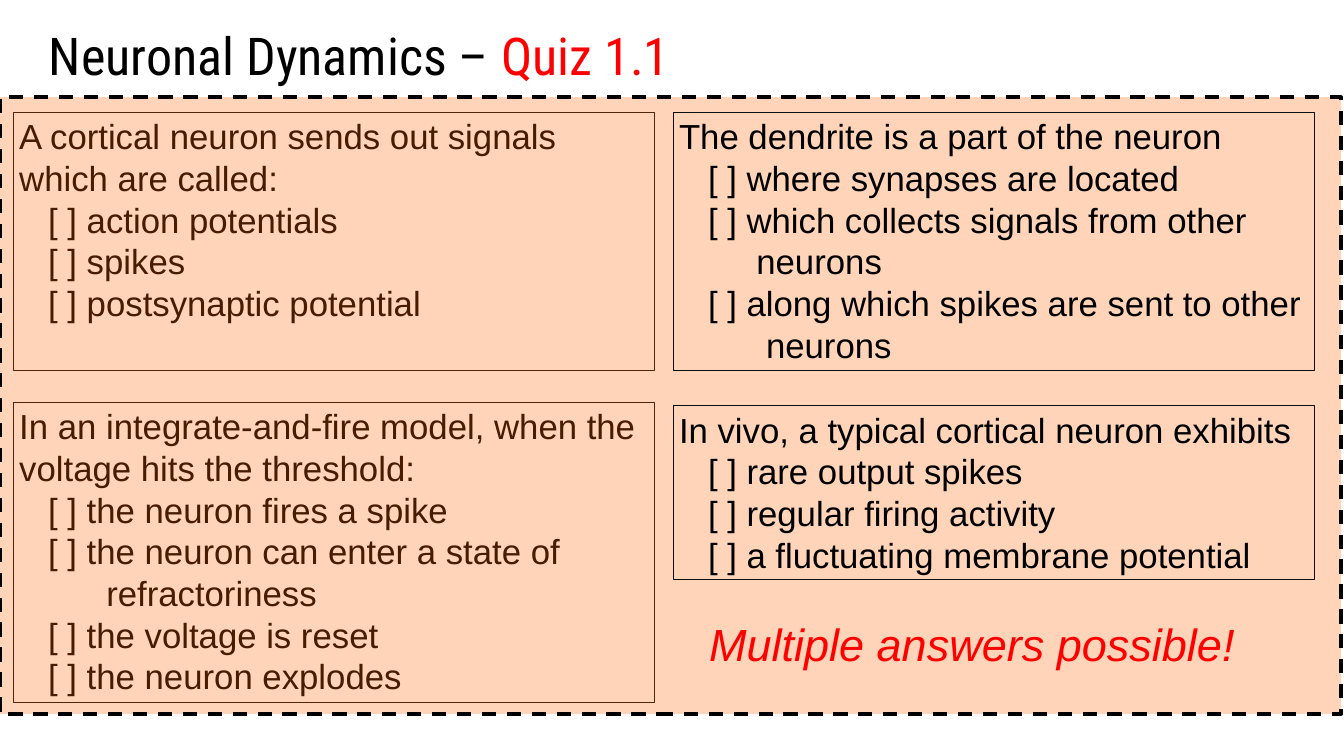
"""Build the Neuronal Dynamics quiz slide with four question boxes."""
from lxml import etree
from pptx import Presentation
from pptx import util as u
from pptx.dml.color import RGBColor
from pptx.enum import dml, shapes, text
from pptx.oxml import ns

BLACK = RGBColor(0x00, 0x00, 0x00)
OUTLINE = RGBColor(0x0D, 0x0D, 0x0D)
RED = RGBColor(0xFF, 0x00, 0x00)
ORANGE = RGBColor(0xFF, 0x66, 0x00)

LEFT_COLUMN, RIGHT_COLUMN, BOX_WIDTH = 0.24, 11.84, 11.26
SPACE_WIDTH = 0.17
LEFT_QUESTIONS = [
    (LEFT_COLUMN, 1.97, 4.54, [
        (0, "A cortical neuron sends out signals which are called:"),
        (3, "[ ] action potentials"),
        (3, "[ ] spikes"),
        (3, "[ ] postsynaptic potential")]),
    (LEFT_COLUMN, 7.07, 5.28, [
        (0, "In an integrate-and-fire model, when the voltage hits the threshold:"),
        (3, "[ ] the neuron fires a spike"),
        (3, "[ ] the neuron can enter a state of"),
        (9, "refractoriness"),
        (3, "[ ] the voltage is reset"),
        (3, "[ ] the neuron explodes")]),
]
RIGHT_QUESTIONS = [
    (RIGHT_COLUMN, 1.97, 4.54, [
        (0, "The dendrite is a part of the neuron"),
        (3, "[ ] where synapses are located"),
        (3, "[ ] which collects signals from other"),
        (8, "neurons"),
        (3, "[ ] along which spikes are sent to other"),
        (9, "neurons")]),
    (RIGHT_COLUMN, 7.13, 3.06, [
        (0, "In vivo, a typical cortical neuron exhibits"),
        (3, "[ ] rare output spikes"),
        (3, "[ ] regular firing activity"),
        (3, "[ ] a fluctuating membrane potential")]),
]


def add_box(left, top, width, height, color, line_width):
    shape = slide.shapes.add_shape(
        shapes.MSO_SHAPE.RECTANGLE,
        u.Inches(left), u.Inches(top), u.Inches(width), u.Inches(height))
    shape.shadow.inherit = False
    shape.fill.background()
    shape.line.color.rgb = color
    shape.line.width = u.Pt(line_width)
    return shape


def add_questions(questions):
    for left, top, height, lines in questions:
        frame = add_box(left, top, BOX_WIDTH, height, OUTLINE, 0.75).text_frame
        frame.word_wrap = True
        frame.vertical_anchor = text.MSO_ANCHOR.TOP
        for index, (indent, wording) in enumerate(lines):
            paragraph = frame.add_paragraph() if index else frame.paragraphs[0]
            paragraph.text = wording
            paragraph.alignment = text.PP_ALIGN.LEFT
            properties = paragraph._p.get_or_add_pPr()
            properties.set("marL", str(u.Inches(indent * SPACE_WIDTH)))
            properties.set("indent", "0")
            paragraph.font.name = "Arial"
            paragraph.font.size = u.Pt(44)
            paragraph.font.color.rgb = BLACK


presentation = Presentation()
presentation.slide_width = u.Inches(23.63)
presentation.slide_height = u.Inches(13.29)
slide = presentation.slides.add_slide(presentation.slide_layouts[5])

title = slide.shapes.title
title.left, title.top = u.Inches(0.76), u.Inches(0.36)
title.width, title.height = u.Inches(22.81), u.Inches(1.61)
title.text_frame.auto_size = text.MSO_AUTO_SIZE.NONE
title.text_frame.vertical_anchor = text.MSO_ANCHOR.TOP
heading = title.text_frame.paragraphs[0]
heading.alignment = text.PP_ALIGN.LEFT
heading.font.name = "Roboto Condensed"
heading.font.size = u.Pt(66)
for wording, color in [("Neuronal Dynamics – ", BLACK), ("Quiz 1.1", RED)]:
    run = heading.add_run()
    run.text = wording
    run.font.color.rgb = color

add_questions(LEFT_QUESTIONS)

panel = add_box(0, 1.71, 23.58, 10.84, BLACK, 4.5)
panel.line.dash_style = dml.MSO_LINE.DASH
panel.fill.solid()
panel.fill.fore_color.rgb = ORANGE
panel_color = panel.fill._xPr.find(ns.qn("a:solidFill")).find(ns.qn("a:srgbClr"))
etree.SubElement(panel_color, ns.qn("a:alpha")).set("val", "28000")

add_questions(RIGHT_QUESTIONS)

hint = slide.shapes.add_textbox(
    u.Inches(12.37), u.Inches(10.79), u.Inches(9.54), u.Inches(1.06))
hint.text_frame.word_wrap = False
paragraph = hint.text_frame.paragraphs[0]
paragraph.text = "Multiple answers possible!"
paragraph.font.name = "Arial"
paragraph.font.size = u.Pt(57)
paragraph.font.italic = True
paragraph.font.color.rgb = RED

presentation.save("out.pptx")
